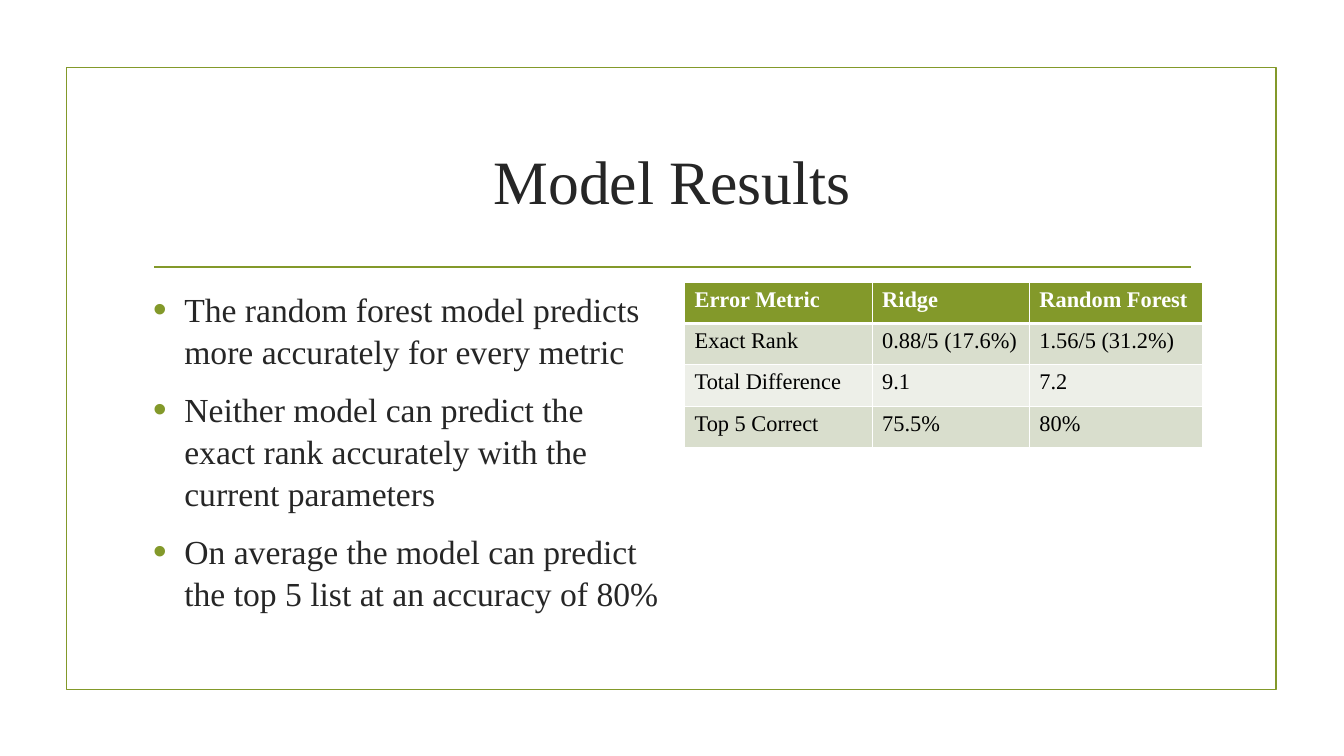
from lxml import etree
from pptx import Presentation
from pptx import util as u
from pptx.dml.color import RGBColor
from pptx.enum import shapes, text
from pptx.oxml.ns import qn

COLORS = {
    "accent": "83992A",
    "ink": "262626",
    "black": "000000",
    "white": "FFFFFF",
    "band_dark": "D9DECD",
    "band_light": "EDEFE8",
}
FONT = "Times New Roman"

BULLETS = [
    "The random forest model predicts more accurately for every metric",
    "Neither model can predict the exact rank accurately with the current parameters",
    "On average the model can predict the top 5 list at an accuracy of 80%",
]
RESULTS = [
    ["Error Metric", "Ridge", "Random Forest"],
    ["Exact Rank", "0.88/5 (17.6%)", "1.56/5 (31.2%)"],
    ["Total Difference", "9.1", "7.2"],
    ["Top 5 Correct", "75.5%", "80%"],
]


def rgb(name):
    return RGBColor.from_string(COLORS[name])


def write(p, content, size=16, color="ink", bold=False, align=None):
    r = p.add_run()
    r.text = content
    r.font.name = FONT
    r.font.size = u.Pt(size)
    r.font.bold = bold
    r.font.color.rgb = rgb(color)
    p.alignment = align


def add_xml(parent, tag, **attrs):
    return etree.SubElement(parent, qn(tag), attrs)


def add_bullet(p, indent):
    pPr = p._p.get_or_add_pPr()
    pPr.set("marL", str(indent))
    pPr.set("indent", str(-indent))
    add_xml(add_xml(pPr, "a:buClr"), "a:srgbClr", val=COLORS["accent"])
    add_xml(pPr, "a:buSzPct", val="115000")
    add_xml(pPr, "a:buFont", typeface="Arial")
    add_xml(pPr, "a:buChar", char="•")


def set_borders(cell, bottom):
    """Draw white cell borders, 1 pt except for the given bottom width."""
    tcPr = cell._tc.get_or_add_tcPr()
    widths = {"a:lnL": 1, "a:lnR": 1, "a:lnT": 1, "a:lnB": bottom}
    for i, (tag, width) in enumerate(widths.items()):
        ln = etree.Element(qn(tag), w=str(u.Pt(width)))
        add_xml(add_xml(ln, "a:solidFill"), "a:srgbClr", val=COLORS["white"])
        tcPr.insert(i, ln)


class SlideBuilder:
    def __init__(self, prs):
        self.slide = prs.slides.add_slide(prs.slide_layouts[6])
        self.shapes = self.slide.shapes

    def style_line(self, line):
        line.color.rgb = rgb("accent")
        line.width = u.Pt(1.25)

    def frame(self, *box):
        sp = self.shapes.add_shape(shapes.MSO_SHAPE.RECTANGLE, *map(u.Inches, box))
        sp.shadow.inherit = False
        sp.fill.background()
        self.style_line(sp.line)

    def rule(self, x1, x2, y):
        sp = self.shapes.add_connector(
            shapes.MSO_CONNECTOR.STRAIGHT, *map(u.Inches, (x1, y, x2, y)))
        self.style_line(sp.line)
        add_xml(sp._element.spPr, "a:effectLst")

    def text_frame(self, box, anchor):
        tf = self.shapes.add_textbox(*map(u.Inches, box)).text_frame
        tf.word_wrap = True
        tf.vertical_anchor = anchor
        return tf

    def title(self, content, *box):
        tf = self.text_frame(box, text.MSO_ANCHOR.MIDDLE)
        write(tf.paragraphs[0], content, size=44, align=text.PP_ALIGN.CENTER)

    def bullets(self, items, *box):
        tf = self.text_frame(box, text.MSO_ANCHOR.TOP)
        for i, item in enumerate(items):
            p = tf.add_paragraph() if i else tf.paragraphs[0]
            write(p, item, size=24)
            p.line_spacing = 1.04
            p.space_before = u.Pt(5.5)
            p.space_after = u.Pt(6)
            add_bullet(p, u.Inches(0.31))

    def table(self, rows, left, top, widths, row_height):
        table = self.shapes.add_table(
            len(rows), len(widths), u.Inches(left), u.Inches(top),
            u.Inches(sum(widths)), u.Inches(row_height * len(rows))).table
        for column, width in zip(table.columns, widths):
            column.width = u.Inches(width)
        for i, row in enumerate(rows):
            header = i == 0
            band = "band_dark" if i % 2 else "band_light"
            table.rows[i].height = u.Inches(row_height)
            for j, value in enumerate(row):
                cell = table.cell(i, j)
                cell.fill.solid()
                cell.fill.fore_color.rgb = rgb("accent" if header else band)
                set_borders(cell, bottom=3 if header else 1)
                write(cell.text_frame.paragraphs[0], value, bold=header,
                      color="white" if header else "black")


def main():
    prs = Presentation()
    prs.slide_width = u.Inches(13.33)
    prs.slide_height = u.Inches(7.5)
    s = SlideBuilder(prs)
    s.frame(0.66, 0.67, 12, 6.17)
    s.rule(1.53, 11.81, 2.65)
    s.title("Model Results", 1.42, 1.07, 10.5, 1.43)
    s.table(RESULTS, 6.79, 2.8, [1.86, 1.56, 1.72], 0.41)
    s.bullets(BULLETS, 1.42, 2.8, 5.25, 3.63)
    prs.save("out.pptx")


if __name__ == "__main__":
    main()
